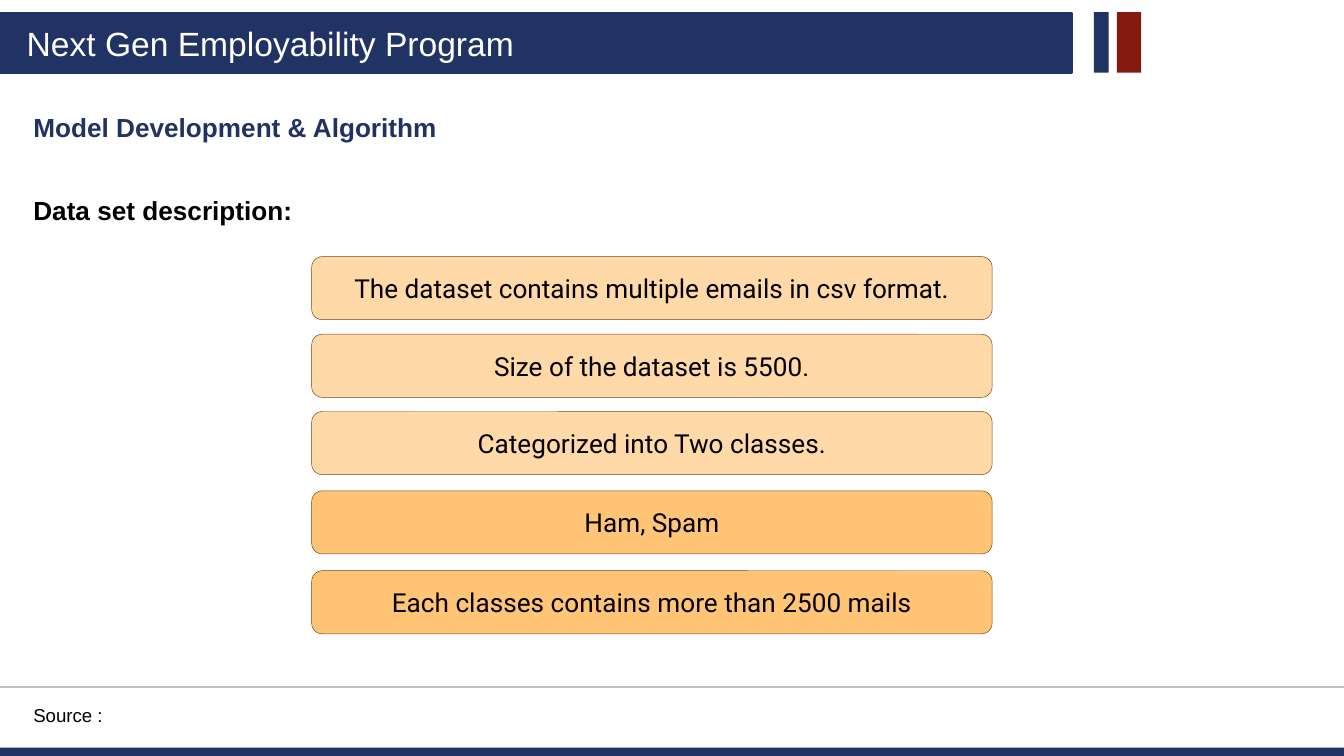
from lxml.etree import SubElement
from pptx import Presentation
from pptx.dml.color import RGBColor
from pptx.enum.shapes import MSO_CONNECTOR, MSO_SHAPE
from pptx.enum.text import MSO_ANCHOR, PP_ALIGN
from pptx.oxml.ns import qn
from pptx.util import Pt

NAVY = "213264"
DARK_RED = "841910"
LIGHT_ORANGE = "FFD9A7"
ORANGE = "FFC475"


def color(hex_value):
    return RGBColor.from_string(hex_value)


presentation = Presentation()
presentation.slide_width = Pt(720)
presentation.slide_height = Pt(405)
slide = presentation.slides.add_slide(presentation.slide_layouts[6])

# Header bar, accent stripes and footer bar
bars = [
    (598.3, 6.5, 13, 32.4, DARK_RED),
    (586, 6.5, 8, 32.4, NAVY),
    (0, 400.5, 720, 5.6, NAVY),
    (0, 7.2, 573.8, 31.7, NAVY),
]
for left, top, width, height, fill in bars:
    bar = slide.shapes.add_shape(MSO_SHAPE.RECTANGLE, Pt(left), Pt(top), Pt(width), Pt(height))
    bar.shadow.inherit = False
    bar.fill.solid()
    bar.fill.fore_color.rgb = color(fill)
    bar.line.fill.background()
header_bar = bar
header_bar.line.color.rgb = color(NAVY)
header_bar.line.width = Pt(2)

# Footer rule
rule = slide.shapes.add_connector(MSO_CONNECTOR.STRAIGHT, Pt(0), Pt(368), Pt(720), Pt(368))
rule.line.color.rgb = color("BFBFBF")
rule.line.width = Pt(0.75)
SubElement(rule._element.spPr, qn("a:effectLst"))

# Headings and source note
labels = [
    ("Next Gen Employability Program", 7.2, 8.6, 311, 28, 3.6, 18, False, "FFFFFF"),
    ("Source :", 10.8, 370.8, 55.4, 25.2, 7.2, 10, False, "000000"),
    ("Model Development & Algorithm", 10.8, 56.2, 244.8, 40.3, 3.6, 14, True, "213163"),
    ("Data set description:", 10.8, 100.8, 156.2, 23.8, 3.6, 14, True, "000000"),
]
for text, left, top, width, height, margin, size, bold, text_color in labels:
    label = slide.shapes.add_textbox(Pt(left), Pt(top), Pt(width), Pt(height))
    text_frame = label.text_frame
    text_frame.word_wrap = True
    text_frame.margin_top = text_frame.margin_bottom = Pt(margin)
    text_frame.text = text
    font = text_frame.paragraphs[0].runs[0].font
    font.name = "Arial"
    font.size = Pt(size)
    font.bold = bold
    font.color.rgb = color(text_color)

# Data set facts
facts = [
    ("The dataset contains multiple emails in csv format.", 137.5, LIGHT_ORANGE),
    ("Size of the dataset is 5500.", 179.1, LIGHT_ORANGE),
    ("Categorized into Two classes.", 220.5, LIGHT_ORANGE),
    ("Ham, Spam", 263, ORANGE),
    ("Each classes contains more than 2500 mails", 305.8, ORANGE),
]
for text, top, fill in facts:
    card = slide.shapes.add_shape(MSO_SHAPE.ROUNDED_RECTANGLE, Pt(167), Pt(top), Pt(364.5), Pt(33.8))
    card.shadow.inherit = False
    card.fill.solid()
    card.fill.fore_color.rgb = color(fill)
    card.line.color.rgb = color("6C4615")
    card.line.width = Pt(0.25)
    text_frame = card.text_frame
    text_frame.vertical_anchor = MSO_ANCHOR.MIDDLE
    text_frame.text = text
    paragraph = text_frame.paragraphs[0]
    paragraph.alignment = PP_ALIGN.CENTER
    font = paragraph.runs[0].font
    font.name = "Roboto"
    font.size = Pt(14)
    font.color.rgb = color("000000")

presentation.save("out.pptx")
